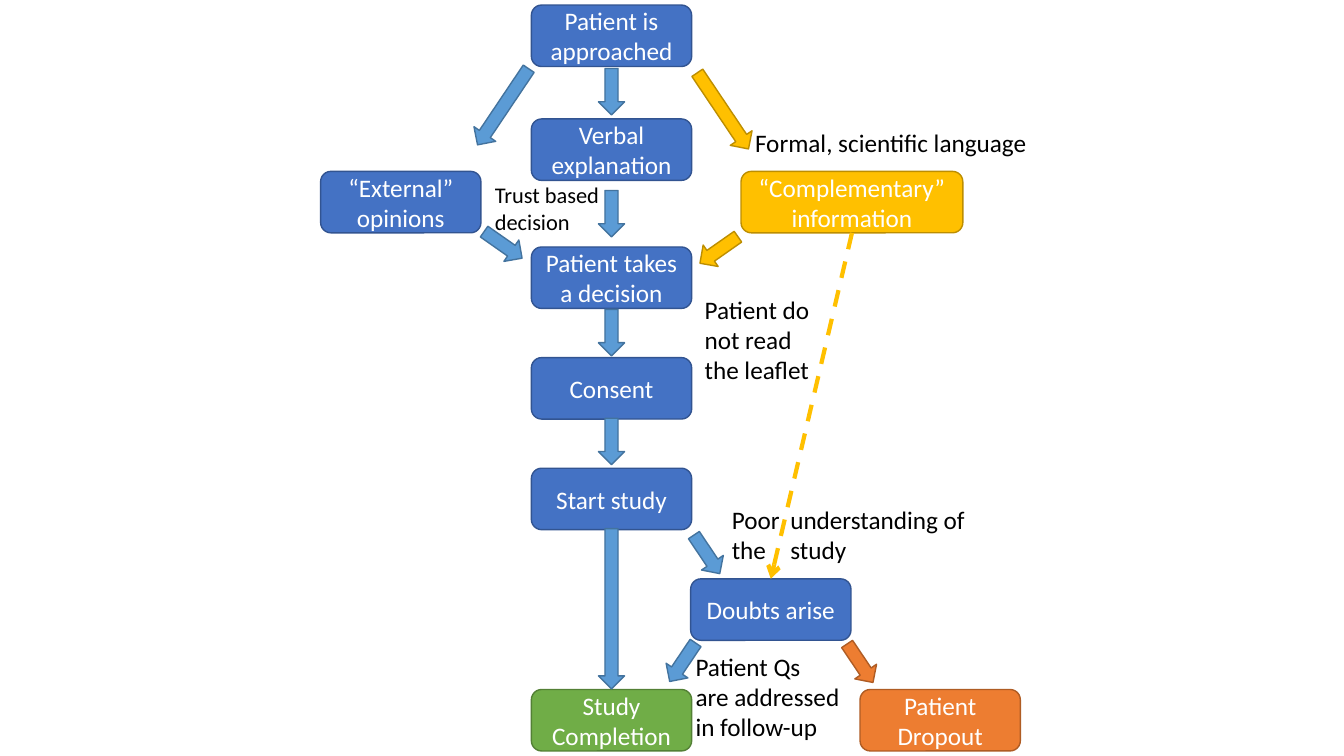
from lxml.etree import SubElement
from pptx import Presentation
from pptx.dml.color import RGBColor
from pptx.enum.dml import MSO_LINE
from pptx.enum.shapes import MSO_CONNECTOR as Link, MSO_SHAPE as Shape
from pptx.enum.text import MSO_ANCHOR as Anchor, PP_ALIGN as Align
from pptx.oxml.ns import qn
from pptx.util import Inches, Pt

BLUE = ("4472C4", "325491")
SKY = ("5B9BD5", "43739E")
GOLD = ("FFC000", "BD8E00")
GREEN = ("70AD47", "538035")
RUST = ("ED7D31", "AF5C24")

BOX_W, BOX_H, WIDE = 1.59, 0.61, 2.2
LEFT, MID, DOUBT, INFO, DROP = 3.18, 5.27, 6.85, 7.35, 8.53
AXIS = MID + BOX_W / 2
TOP, TALK, SIDE, FIRST, LAST = 0.05, 1.18, 1.7, 2.45, 6.84
STEP = (LAST - FIRST) / 4
SHORT, LONG, THICK = 0.46, 0.91, 0.26
STEEP, SLANT = 56.1, 35


def row(n):
    """Top of the n-th evenly spaced row, from the decision downwards."""
    return FIRST + n * STEP


def rgb(code):
    return RGBColor.from_string(code)


def write(frame, text, size, colour, align):
    frame.text = text
    for para in frame.paragraphs:
        para.alignment = align
        for run in para.runs:
            run.font.name = "Calibri"
            run.font.size = Pt(size)
            run.font.color.rgb = rgb(colour)


def block(slide, kind, x, y, w, h, hue):
    shape = slide.shapes.add_shape(kind, *map(Inches, (x, y, w, h)))
    fill, edge = hue
    shape.shadow.inherit = False
    shape.fill.solid()
    shape.fill.fore_color.rgb = rgb(fill)
    shape.line.color.rgb = rgb(edge)
    shape.line.width = Pt(1)
    return shape


def box(slide, text, x, y, hue=BLUE, w=BOX_W):
    shape = block(slide, Shape.ROUNDED_RECTANGLE, x, y, w, BOX_H, hue)
    frame = shape.text_frame
    frame.word_wrap = True
    frame.vertical_anchor = Anchor.MIDDLE
    write(frame, text, 18, "FFFFFF", Align.CENTER)
    return shape


def arrow(slide, x, y, angle=90, hue=SKY, size=SHORT):
    """Block arrow centred on x, y and turned clockwise from pointing right."""
    shape = block(slide, Shape.RIGHT_ARROW, x - size / 2, y - THICK / 2,
                  size, THICK, hue)
    shape.rotation = angle


def dashes(slide, start, end):
    """Dashed arrow from the bottom of one box to the top of another."""
    line = slide.shapes.add_connector(Link.STRAIGHT, 0, 0, 0, 0)
    line.begin_connect(start, 2)
    line.end_connect(end, 0)
    line.line.color.rgb = rgb(GOLD[0])
    line.line.width = Pt(3)
    line.line.dash_style = MSO_LINE.DASH
    SubElement(line.line._get_or_add_ln(), qn("a:tailEnd"), type="arrow")
    SubElement(line._element.spPr, qn("a:effectLst"))


def note(slide, text, x, y, w, h, size=18, tab=None):
    area = slide.shapes.add_textbox(*map(Inches, (x, y, w, h)))
    frame = area.text_frame
    frame.word_wrap = False
    write(frame, text, size, "000000", Align.LEFT)
    if tab:
        for para in frame.paragraphs:
            stops = SubElement(para._p.get_or_add_pPr(), qn("a:tabLst"))
            SubElement(stops, qn("a:tab"), pos=str(Inches(tab)), algn="l")


def main():
    deck = Presentation()
    deck.slide_width, deck.slide_height = Inches(13.33), Inches(7.5)
    slide = deck.slides.add_slide(deck.slide_layouts[6])

    box(slide, "Patient is approached", MID, TOP)
    box(slide, "Verbal explanation", MID, TALK)
    info = box(slide, "“Complementary” information", INFO, SIDE, GOLD, WIDE)
    box(slide, "“External” opinions", LEFT, SIDE)
    for n, text in enumerate(("Patient takes a decision", "Consent",
                              "Start study")):
        box(slide, text, MID, row(n))
    doubt = box(slide, "Doubts arise", DOUBT, row(3))
    box(slide, "Study Completion", MID, LAST, GREEN)
    box(slide, "Patient Dropout", DROP, LAST, RUST)

    for y in (0.91, 2.12, 3.3, 4.38):
        arrow(slide, AXIS, y)
    arrow(slide, AXIS, 6.04, size=BOX_W)
    arrow(slide, 7.17, 1.1, STEEP, GOLD, LONG)
    arrow(slide, 4.99, 1.06, 180 - STEEP, size=LONG)
    arrow(slide, 4.99, 2.43, SLANT)
    arrow(slide, 7.13, 2.48, 180 - SLANT, GOLD)
    arrow(slide, 7.01, 5.5, STEEP)
    arrow(slide, 6.77, 6.57, 180 - STEEP)
    arrow(slide, 8.53, 6.58, STEEP, RUST)
    dashes(slide, info, doubt)

    note(slide, "Poor\tunderstanding of\nthe\tstudy", 7.16, 4.95, 2.55, 0.71,
         tab=0.58)
    note(slide, "Formal, scientific language", 7.39, 1.21, 2.93, 0.4)
    note(slide, "Patient do\nnot read\nthe leaflet", 6.89, 2.87, 1.29, 1.01)
    note(slide, "Patient Qs\nare addressed\nin follow-up",
         6.8, 6.41, 1.65, 1.01)
    note(slide, "Trust based\ndecision", 4.81, 1.75, 1.25, 0.64, 16)
    deck.save("out.pptx")


if __name__ == "__main__":
    main()
